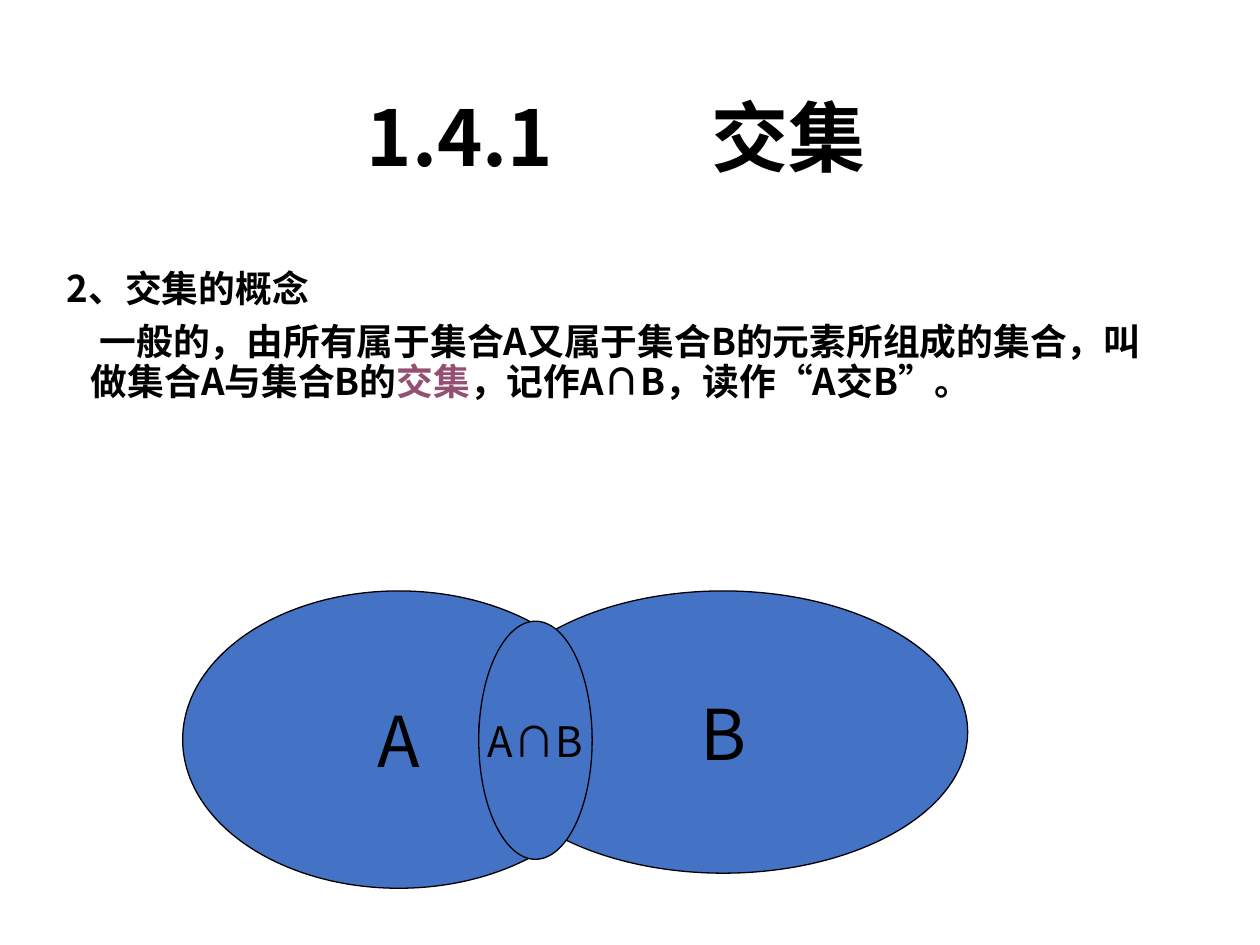
from dataclasses import dataclass

from lxml import etree
from pptx import Presentation
from pptx.dml.color import RGBColor
from pptx.enum import shapes, text
from pptx.oxml.ns import qn
from pptx.util import Inches, Pt

COLORS = {"ink": "000000", "accent": "954F72", "set": "4472C4"}
FONT = "Noto Sans CJK SC"


@dataclass
class SetOval:
    label: str
    left: float
    top: float
    width: float
    height: float
    size: int


OVALS = [
    SetOval("A", 1.45, 4.69, 3.43, 2.36, 40),
    SetOval("B", 3.8, 4.69, 3.88, 2.24, 40),
    SetOval("A∩B", 3.8, 4.93, 0.9, 1.89, 24),
]


def color(name: str) -> RGBColor:
    return RGBColor.from_string(COLORS[name])


def add_span(para, words: str, size: float, bold: bool = False, ink: str = "ink") -> None:
    span = para.add_run()
    span.text = words
    span.font.size = Pt(size)
    span.font.bold = bold
    span.font.color.rgb = color(ink)
    span.font.name = FONT
    etree.SubElement(span.font._element, qn("a:ea"), typeface=FONT)


def place(box, left: float, top: float, width: float, height: float) -> None:
    box.left, box.top = Inches(left), Inches(top)
    box.width, box.height = Inches(width), Inches(height)


def add_title(page) -> None:
    box = page.shapes.title
    place(box, 0.69, 0.4, 8.63, 1.45)
    frame = box.text_frame
    frame.auto_size = text.MSO_AUTO_SIZE.NONE
    frame.vertical_anchor = text.MSO_ANCHOR.MIDDLE
    frame.margin_left = Inches(2.22)
    para = frame.paragraphs[0]
    para.alignment = text.PP_ALIGN.LEFT
    para.line_spacing = 0.9
    tabs = etree.SubElement(para._p.get_or_add_pPr(), qn("a:tabLst"))
    etree.SubElement(tabs, qn("a:tab"), pos=str(Inches(2.74)), algn="l")
    add_span(para, "1.4.1\t交集", 44, bold=True)


def format_body_paragraph(para, first_line: float) -> None:
    para.alignment = text.PP_ALIGN.LEFT
    para.line_spacing = 0.9
    properties = para._p.get_or_add_pPr()
    properties.set("marL", str(Inches(0.19)))
    properties.set("indent", str(Inches(first_line)))
    etree.SubElement(properties, qn("a:buNone"))


def add_definition(page) -> None:
    box = page.placeholders[1]
    place(box, 0.43, 2.1, 9, 2.36)
    frame = box.text_frame
    frame.auto_size = text.MSO_AUTO_SIZE.NONE
    heading = frame.paragraphs[0]
    heading.space_before = Pt(0)
    format_body_paragraph(heading, -0.19)
    add_span(heading, "2、交集的概念", 21, bold=True)

    definition = frame.add_paragraph()
    definition.space_before = Pt(7.5)
    format_body_paragraph(definition, 0.07)
    for words, ink in (
        ("一般的，由所有属于集合A又属于集合B的元素所组成的集合，叫做集合A与集合B的", "ink"),
        ("交集", "accent"),
        ("，记作A∩B，读作“A交B”。", "ink"),
    ):
        add_span(definition, words, 21, bold=True, ink=ink)


def add_oval(group, oval: SetOval) -> None:
    shape = group.shapes.add_shape(
        shapes.MSO_SHAPE.OVAL,
        Inches(oval.left), Inches(oval.top), Inches(oval.width), Inches(oval.height),
    )
    shape.shadow.inherit = False
    shape.fill.solid()
    shape.fill.fore_color.rgb = color("set")
    shape.line.color.rgb = color("ink")
    shape.line.width = Pt(0.75)
    frame = shape.text_frame
    frame.word_wrap = False
    frame.vertical_anchor = text.MSO_ANCHOR.MIDDLE
    para = frame.paragraphs[0]
    para.alignment = text.PP_ALIGN.CENTER
    add_span(para, oval.label, oval.size)


def main() -> None:
    deck = Presentation()
    deck.slide_width, deck.slide_height = Inches(10), Inches(7.5)
    page = deck.slides.add_slide(deck.slide_layouts[1])
    add_title(page)
    add_definition(page)
    venn = page.shapes.add_group_shape()
    for oval in OVALS:
        add_oval(venn, oval)
    deck.save("out.pptx")


if __name__ == "__main__":
    main()
